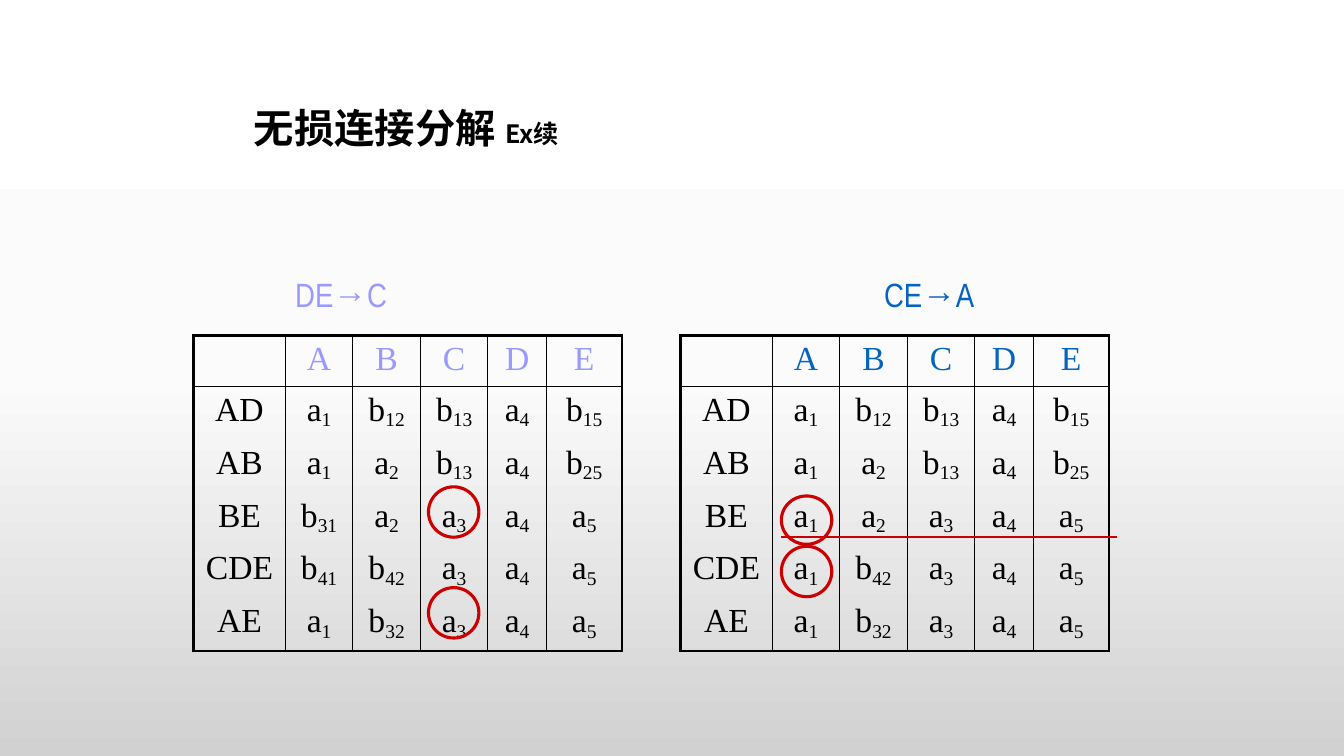
from copy import deepcopy
from dataclasses import dataclass

from lxml.etree import SubElement
from pptx import Presentation
from pptx.dml.color import RGBColor
from pptx.enum.shapes import MSO_CONNECTOR, MSO_SHAPE
from pptx.enum.text import MSO_ANCHOR, PP_ALIGN
from pptx.oxml.ns import qn
from pptx.slide import Slide
from pptx.table import _Cell as Cell
from pptx.text.text import _Run as Run
from pptx.util import Inches, Pt

BLACK, RED = "000000", "CC0000"
TITLE_FONT, LABEL_FONT, TABLE_FONT = "Noto Sans CJK SC", "Arial Narrow", "Times New Roman"
COLUMN_WIDTHS = [0.91, 0.67, 0.67, 0.67, 0.58, 0.75]
HEADER_HEIGHT, ROW_HEIGHT = 0.5, 0.52
TABLE_TOP, LABEL_TOP, LABEL_WIDTH = 3.33, 2.67, 1.3
THICK, THIN = 2.25, 1
ATTRIBUTES = ["", *"ABCDE"]


@dataclass
class Circle:
    left: float
    top: float
    height: float = 0.5


@dataclass
class Step:
    """One functional dependency applied to the tableau."""
    dependency: str
    color: str
    label_left: float
    table_left: float
    be_value: str
    cde_value: str
    circles: list[Circle]

    def rows(self) -> list[list[str]]:
        lines = [
            "AD a1 b12 b13 a4 b15",
            "AB a1 a2 b13 a4 b25",
            f"BE {self.be_value} a2 a3 a4 a5",
            f"CDE {self.cde_value} b42 a3 a4 a5",
            "AE a1 b32 a3 a4 a5",
        ]
        return [ATTRIBUTES] + [line.split() for line in lines]


STEPS = [
    Step("DE→C", "9999FF", 2.83, 1.92, "b31", "b41",
         [Circle(4.25, 4.83), Circle(4.25, 5.83)]),
    Step("CE→A", "0563C1", 8.67, 6.75, "a1", "a1",
         [Circle(7.75, 4.92, 0.48), Circle(7.75, 5.42)]),
]


def rgb(color: str) -> RGBColor:
    return RGBColor.from_string(color)


def style_run(run: Run, size: float, font: str, color: str, bold: bool = False) -> None:
    run.font.size = Pt(size)
    run.font.name = font
    run.font.bold = bold
    run.font.color.rgb = rgb(color)
    SubElement(run.font._element, qn("a:ea"), typeface=font)


def fill_background(slide: Slide) -> None:
    fill = slide.background.fill
    fill.gradient()
    fill.gradient_angle = 270
    stop_list = next(slide._element.iter(qn("a:gsLst")))
    stop_list.insert(1, deepcopy(stop_list[0]))
    stops = [(0, "FFFFFF"), (0.5, "FBFBFB"), (1, "D1D1D1")]
    for stop, (position, color) in zip(fill.gradient_stops, stops):
        stop.position = position
        stop.color.rgb = rgb(color)


def add_title(slide: Slide) -> None:
    box = slide.shapes.add_textbox(Inches(2.42), Inches(1.04), Inches(8.5), Inches(0.51))
    frame = box.text_frame
    frame.word_wrap = True
    frame.vertical_anchor = MSO_ANCHOR.MIDDLE
    paragraph = frame.paragraphs[0]
    paragraph.line_spacing = 0.9
    for text, size in [("无损连接分解 ", 28.8), ("Ex续", 18)]:
        run = paragraph.add_run()
        run.text = text
        style_run(run, size, TITLE_FONT, BLACK, bold=True)


def add_label(slide: Slide, step: Step) -> None:
    box = slide.shapes.add_textbox(Inches(step.label_left), Inches(LABEL_TOP),
                                   Inches(LABEL_WIDTH), Inches(0.5))
    frame = box.text_frame
    frame.word_wrap = True
    frame.text = step.dependency
    style_run(frame.paragraphs[0].runs[0], 24, LABEL_FONT, step.color)


def set_borders(cell: Cell, widths: dict[str, float]) -> None:
    """Draw each side with its width in points; zero hides the side."""
    properties = cell._tc.get_or_add_tcPr()
    for side, width in widths.items():
        line = SubElement(properties, qn(f"a:ln{side}"), w=str(Pt(width)))
        if width:
            solid = SubElement(line, qn("a:solidFill"))
            SubElement(solid, qn("a:srgbClr"), val=BLACK)
        else:
            SubElement(line, qn("a:noFill"))


def write_cell(cell: Cell, text: str, color: str) -> None:
    """Write a value, with its digits as a subscript."""
    paragraph = cell.text_frame.paragraphs[0]
    paragraph.alignment = PP_ALIGN.CENTER
    letters = text.rstrip("0123456789")
    for part in filter(None, (letters, text[len(letters):])):
        run = paragraph.add_run()
        run.text = part
        style_run(run, 24, TABLE_FONT, color)
        if part.isdigit():
            run.font._element.set("baseline", "-16000")


def add_tableau(slide: Slide, step: Step) -> None:
    rows = step.rows()
    last_row, last_column = len(rows) - 1, len(COLUMN_WIDTHS) - 1
    height = HEADER_HEIGHT + last_row * ROW_HEIGHT
    table = slide.shapes.add_table(len(rows), len(COLUMN_WIDTHS), Inches(step.table_left),
                                   Inches(TABLE_TOP), Inches(sum(COLUMN_WIDTHS)),
                                   Inches(height)).table
    table.first_row = table.horz_banding = False
    for column, width in zip(table.columns, COLUMN_WIDTHS):
        column.width = Inches(width)
    for i, values in enumerate(rows):
        table.rows[i].height = Inches(ROW_HEIGHT if i else HEADER_HEIGHT)
        for j, value in enumerate(values):
            cell = table.cell(i, j)
            write_cell(cell, value, BLACK if i else step.color)
            set_borders(cell, {
                "L": THIN if j else THICK,
                "R": THICK if j == last_column else THIN,
                "T": {0: THICK, 1: THIN}.get(i, 0),
                "B": {0: THIN, last_row: THICK}.get(i, 0),
            })
            cell.fill.background()


def add_circle(slide: Slide, circle: Circle) -> None:
    shape = slide.shapes.add_shape(MSO_SHAPE.OVAL, Inches(circle.left), Inches(circle.top),
                                   Inches(0.5), Inches(circle.height))
    shape.shadow.inherit = False
    shape.fill.background()
    shape.line.color.rgb = rgb(RED)
    shape.line.width = Pt(2.25)


def add_result_line(slide: Slide) -> None:
    """Underline the row that now holds only a-values."""
    connector = slide.shapes.add_connector(MSO_CONNECTOR.STRAIGHT, Inches(7.75), Inches(5.33),
                                           Inches(11.08), Inches(5.33))
    connector.line.color.rgb = rgb(RED)
    connector.line.width = Pt(1.5)
    SubElement(connector._element.spPr, qn("a:effectLst"))


def main() -> None:
    presentation = Presentation()
    presentation.slide_width = Inches(13.33)
    presentation.slide_height = Inches(7.5)
    slide = presentation.slides.add_slide(presentation.slide_layouts[6])
    fill_background(slide)
    add_title(slide)
    for step in STEPS:
        add_label(slide, step)
        add_tableau(slide, step)
        for circle in step.circles:
            add_circle(slide, circle)
    add_result_line(slide)
    presentation.save("out.pptx")


if __name__ == "__main__":
    main()
